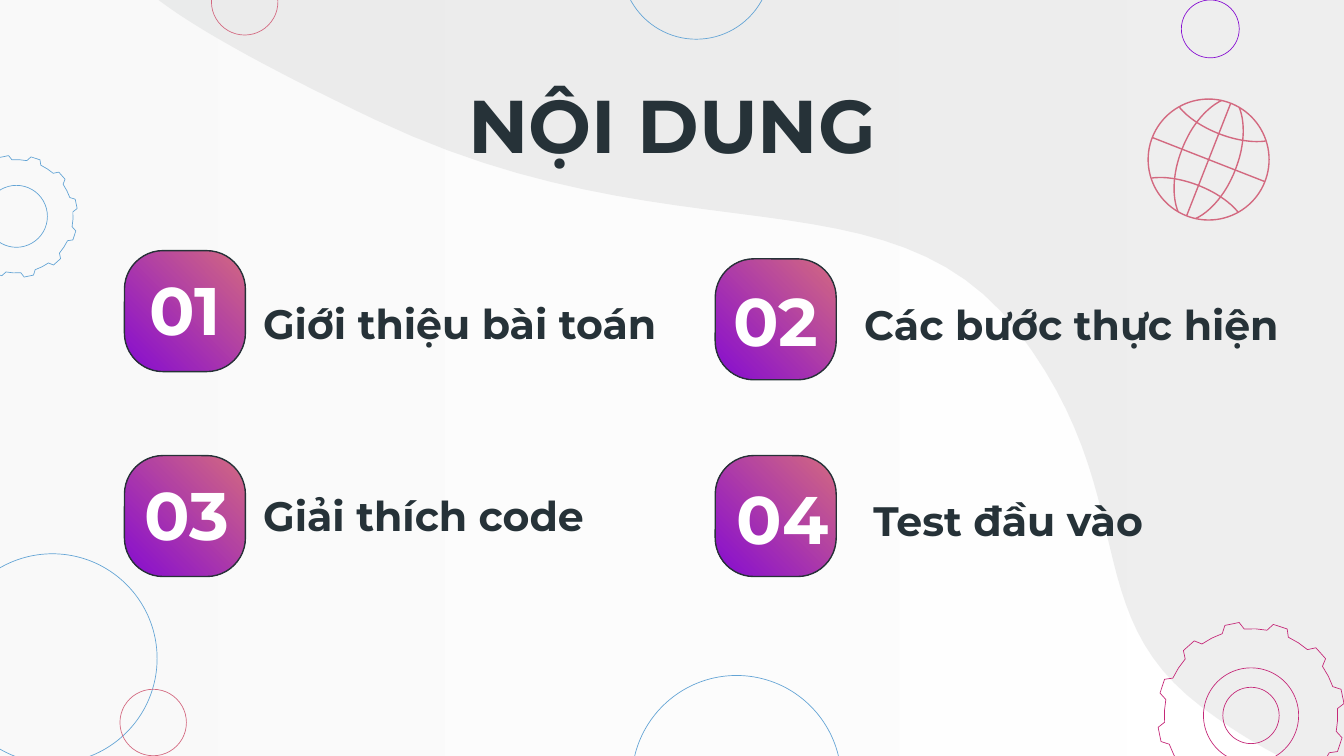
from math import cos, radians, sin
from typing import NamedTuple, Optional

from lxml.etree import SubElement
from pptx import Presentation
from pptx.dml.color import RGBColor
from pptx.enum.shapes import MSO_CONNECTOR as Connector, MSO_SHAPE as Preset
from pptx.enum.text import MSO_ANCHOR as Anchor, PP_ALIGN as Align
from pptx.oxml.ns import qn
from pptx.util import Pt

COLORS = {
    "white": "FFFFFF", "mist": "F3F3F3", "wave": "D6D7D7", "ink": "263238",
    "blue": "63A4D5", "pink": "D36980", "purple": "860CD1", "magenta": "C52878",
}
FONT = "Montserrat"
THIN, MEDIUM = 0.36, 0.75
BADGE_SIZE = 64.8
BACKDROP_ALPHA = 41
GLOBE_CENTER, GLOBE_RADIUS, GLOBE_TILT = (647.5, 85.5), 32.4, radians(21.4)

Point = tuple[float, float]


class Circle(NamedTuple):
    x: float
    y: float
    radius: float
    color: str


class Gear(NamedTuple):
    x: float
    y: float
    radius: float
    hubs: tuple[float, ...]
    color: str


class Label(NamedTuple):
    text: str
    left: float
    top: float
    width: float
    height: float
    size: float
    color: str = "ink"
    align: Align = Align.LEFT


class Topic(NamedTuple):
    badge_left: float
    badge_top: float
    number: Label
    name: Label


def number_label(text: str, left: float, top: float, width: float = 64.8) -> Label:
    return Label(text, left, top, width, 50.4, 36, "white", Align.CENTER)


def name_label(text: str, left: float, top: float, width: float) -> Label:
    return Label(text, left, top, width, 34.6, 22)


CIRCLES = [
    Circle(28.1, 352.8, 56.1, "blue"),
    Circle(648.4, 15.5, 15.5, "purple"),
    Circle(131.1, 1, 17.8, "pink"),
    Circle(373, -19, 40, "blue"),
    Circle(394.6, 418, 56.1, "blue"),
    Circle(82.1, 387.1, 17.8, "pink"),
]
GEARS = [
    Gear(8.8, 115.9, 32.8, (16.6,), "blue"),
    Gear(670.2, 383.3, 50.2, (25.5, 15.1), "magenta"),
]
TOPICS = [
    Topic(66.7, 134.3, number_label("01", 66.7, 140.4),
          name_label("Giới thiệu bài toán", 133.9, 155.5, 235.4)),
    Topic(383.2, 138.7, number_label("02", 383.2, 146.2),
          name_label("Các bước thực hiện", 455.8, 156.2, 249.8)),
    Topic(66.7, 244.1, number_label("03", 67.7, 249.8),
          name_label("Giải thích code", 133.9, 258.5, 203)),
    Topic(383.2, 244.1, number_label("04", 383.2, 252, 72),
          name_label("Test đầu vào", 460.8, 261.4, 203)),
]
TITLE = Label("NỘI DUNG", 56.2, 51.8, 607.7, 28.8, 40, align=Align.CENTER)
WAVE_CURVES = [
    ((729.4, 423.4), (706.3, 416.2), (676.1, 403.2), (643.7, 378.7)),
    ((643.7, 378.7), (576, 327.6), (612.7, 265.7), (545, 177.1)),
    ((545, 177.1), (476.6, 88.6), (361.4, 140.4), (200.9, 64.1)),
    ((200.9, 64.1), (126.7, 28.8), (92.2, 7.2), (77, -6.5)),
]
MERIDIAN_HALF = ((5, 32), (5, 32), (15.3, 22.5), (15.3, 0))
PARALLEL_HALF = ((24.8, 20.4), (20, 17.6), (11.2, 14.9), (0, 14.9))


def rgb(name: str) -> RGBColor:
    return RGBColor.from_string(COLORS[name])


def style(shape, line: Optional[str] = None, width: float = THIN) -> None:
    """Remove the shadow and set the outline, or none."""
    shape.shadow.inherit = False
    if line is None:
        shape.line.fill.background()
    else:
        shape.line.color.rgb = rgb(line)
        shape.line.width = Pt(width)


def fill_gradient(shape, first: str, last: str, angle: float) -> None:
    shape.fill.gradient()
    shape.fill.gradient_angle = angle
    for stop, name in zip(shape.fill.gradient_stops, (first, last)):
        stop.color.rgb = rgb(name)


def set_alpha(shape, percent: int) -> None:
    for color in shape._element.spPr.iter(qn("a:srgbClr")):
        SubElement(color, qn("a:alpha")).set("val", str(percent * 1000))


def bezier(curve: tuple[Point, ...], steps: int = 24) -> list[Point]:
    """Sample a cubic curve at equal parameter steps."""
    points = []
    for t in (step / steps for step in range(steps + 1)):
        weights = ((1 - t) ** 3, 3 * t * (1 - t) ** 2, 3 * t * t * (1 - t), t ** 3)
        points.append(tuple(sum(w * p[axis] for w, p in zip(weights, curve))
                            for axis in (0, 1)))
    return points


def draw_path(slide, points: list[Point], close: bool):
    corners = [(Pt(x), Pt(y)) for x, y in points]
    builder = slide.shapes.build_freeform(*corners[0], scale=1.0)
    builder.add_line_segments(corners[1:], close=close)
    return builder.convert_to_shape()


def draw_backdrop(slide) -> None:
    veil = slide.shapes.add_shape(Preset.RECTANGLE, Pt(-5), Pt(-5), Pt(730), Pt(415))
    fill_gradient(veil, "white", "mist", 180)
    points = [(740.2, -18), (740.2, 423.4)]
    for curve in WAVE_CURVES:
        points += bezier(curve)
    wave = draw_path(slide, points + [(77, -18)], close=True)
    wave.fill.solid()
    wave.fill.fore_color.rgb = rgb("wave")
    for shape in (veil, wave):
        style(shape)
        set_alpha(shape, BACKDROP_ALPHA)


def draw_circle(slide, circle: Circle, width: float = THIN) -> None:
    x, y, radius, color = circle
    oval = slide.shapes.add_shape(Preset.OVAL, Pt(x - radius), Pt(y - radius),
                                  Pt(2 * radius), Pt(2 * radius))
    oval.fill.background()
    style(oval, color, width)


def draw_gear(slide, gear: Gear) -> None:
    """Draw twelve teeth, each with two root and two tip corners, and the hubs."""
    root = gear.radius * 0.925
    tooth = ((4.5, root), (7.3, gear.radius), (16.2, gear.radius), (19.4, root),
             (26.9, root))
    rim = []
    for turn in range(0, 360, 30):
        for offset, radius in tooth:
            angle = -radians(turn + offset)
            rim.append((gear.x + radius * cos(angle), gear.y + radius * sin(angle)))
    outline = draw_path(slide, rim, close=True)
    outline.fill.background()
    style(outline, gear.color)
    for hub in gear.hubs:
        draw_circle(slide, Circle(gear.x, gear.y, hub, gear.color))


def tilt(x: float, y: float) -> Point:
    """Turn a point of the upright globe onto the slide."""
    c, s = cos(GLOBE_TILT), sin(GLOBE_TILT)
    return GLOBE_CENTER[0] + x * c - y * s, GLOBE_CENTER[1] + x * s + y * c


def draw_globe(slide) -> None:
    draw_circle(slide, Circle(*GLOBE_CENTER, GLOBE_RADIUS, "pink"), MEDIUM)
    for x, y in ((0, GLOBE_RADIUS), (GLOBE_RADIUS, 0)):
        ends = [Pt(value) for value in tilt(-x, -y) + tilt(x, y)]
        line = slide.shapes.add_connector(Connector.STRAIGHT, *ends)
        line.line.color.rgb = rgb("pink")
        line.line.width = Pt(MEDIUM)
        SubElement(line._element.spPr, qn("a:effectLst"))
    for half, flip_x, flip_y in ((MERIDIAN_HALF, 1, -1), (PARALLEL_HALF, -1, 1)):
        points = bezier(half)
        points += [(x * flip_x, y * flip_y) for x, y in reversed(points[:-1])]
        for side in (1, -1):
            arc = draw_path(slide, [tilt(x * side, y * side) for x, y in points], False)
            arc.fill.background()
            style(arc, "pink", MEDIUM)


def draw_label(slide, label: Label) -> None:
    box = slide.shapes.add_textbox(Pt(label.left), Pt(label.top),
                                   Pt(label.width), Pt(label.height))
    frame = box.text_frame
    frame.word_wrap = True
    frame.vertical_anchor = Anchor.MIDDLE
    frame.margin_left = frame.margin_right = Pt(7.2)
    frame.margin_top = frame.margin_bottom = Pt(7.2)
    para = frame.paragraphs[0]
    para.alignment = label.align
    span = para.add_run()
    span.text = label.text
    span.font.name = FONT
    span.font.size = Pt(label.size)
    span.font.bold = True
    span.font.color.rgb = rgb(label.color)


def draw_topic(slide, topic: Topic) -> None:
    badge = slide.shapes.add_shape(Preset.ROUNDED_RECTANGLE, Pt(topic.badge_left),
                                   Pt(topic.badge_top), Pt(BADGE_SIZE), Pt(BADGE_SIZE))
    badge.adjustments[0] = 0.32
    fill_gradient(badge, "pink", "purple", 225)
    style(badge, "ink", MEDIUM)
    draw_label(slide, topic.number)
    draw_label(slide, topic.name)


def main() -> None:
    deck = Presentation()
    deck.slide_width, deck.slide_height = Pt(720), Pt(405)
    page = deck.slides.add_slide(deck.slide_layouts[6])
    draw_backdrop(page)
    for circle in CIRCLES:
        draw_circle(page, circle)
    for gear in GEARS:
        draw_gear(page, gear)
    for topic in TOPICS:
        draw_topic(page, topic)
    draw_label(page, TITLE)
    draw_globe(page)
    deck.save("out.pptx")


if __name__ == "__main__":
    main()
